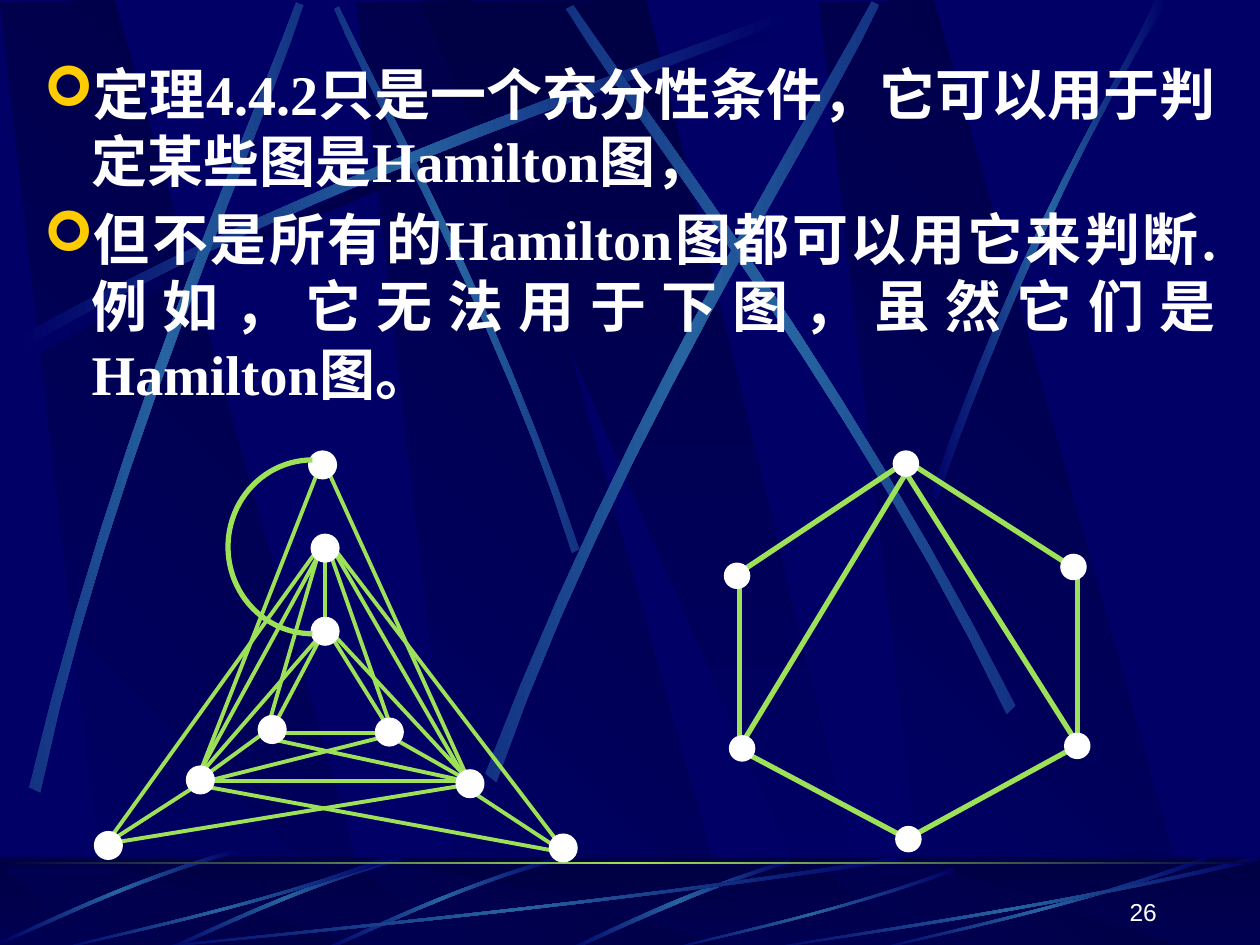
from lxml.etree import SubElement
from pptx import Presentation
from pptx.dml.color import RGBColor
from pptx.enum.shapes import MSO_CONNECTOR, MSO_SHAPE
from pptx.enum.text import MSO_ANCHOR, PP_ALIGN
from pptx.oxml import parse_xml
from pptx.oxml.ns import nsdecls, qn
from pptx.util import Inches, Pt

HUE = {"base": "000066", "dark": "000044", "glow": "2663A0", "dim": "133283",
       "lime": "9CE157", "white": "FFFFFF", "gold": "FFCC00"}
RGB = {name: RGBColor.from_string(code) for name, code in HUE.items()}

deck = Presentation()
deck.slide_width, deck.slide_height = Inches(10), Inches(7.5)
unit = deck.slide_width // 10
slide = deck.slides.add_slide(deck.slide_layouts[6])
slide.background.fill.solid()
slide.background.fill.fore_color.rgb = RGB["base"]
shapes = slide.shapes


def grid(*cells):
    return [round(cell * unit) for cell in cells]


def write(texts, box, size, font, align, bold=False, bullet=None, gap=0,
          anchor=MSO_ANCHOR.TOP):
    frame = shapes.add_textbox(*grid(*box)).text_frame
    frame.word_wrap = True
    frame.vertical_anchor = anchor
    for row, text in enumerate(texts):
        para = frame.add_paragraph() if row else frame.paragraphs[0]
        para.alignment = align
        if row:
            para.space_before = Pt(gap)
        if bullet:
            props = para._p.get_or_add_pPr()
            props.set("marL", str(Inches(0.38)))
            props.set("indent", str(-Inches(0.38)))
            tint = SubElement(props, qn("a:buClr"))
            SubElement(tint, qn("a:srgbClr")).set("val", HUE["gold"])
            SubElement(props, qn("a:buFont")).set("typeface", "Wingdings")
            SubElement(props, qn("a:buChar")).set("char", bullet)
        run = para.add_run()
        run.text = text
        run.font.size, run.font.name, run.font.bold = Pt(size), font, bold
        run.font.color.rgb = RGB["white"]


fade = ["base", "glow", "base"]
soft = ["dim", "glow", "dim"]
forms = []

for x in (0, 2.83, 6.5):
    band = [(x + 0.86, 7.5), (x + 3.02, 7.52), (x + 0.91, 0), (x, 0.02)]
    forms.append((band, ["base", "dark"], 315))
forms.append(([(3.33, 0.01), (6.58, 7.5), (6.94, 7.5), (5.13, 0)], ["dark", "base"], 90))

sweep = [(0.14, 2.67), (2.78, 1.25), (5.18, 0.51), (6.2, 0.1),
         (6.23, 0.16), (5.22, 0.61), (2.48, 1.43), (0.17, 2.77)]
forms += [
    ([(x + 0.06, y + 0.08) for x, y in sweep], ["base", "dark", "base"], 0),
    ([(4.6, 4.36), (3.91, 2.34), (3.02, 0.77), (2.69, 0.05),
      (2.65, 0.07), (2.95, 0.79), (3.98, 2.58), (4.54, 4.39)], soft, 0),
    (sweep, fade, 0),
    ([(0.23, 6.25), (0.93, 3.34), (1.97, 1.05), (2.35, 0.02),
      (2.41, 0.04), (2.07, 1.09), (0.86, 3.68), (0.32, 6.29)], soft, 0),
    ([(3.85, 6.14), (4.98, 3.2), (6.38, 1.02), (6.92, 0.01),
      (6.98, 0.04), (6.49, 1.08), (4.86, 3.55), (3.94, 6.21)], soft, 0),
    ([(8.06, 5.6), (6.7, 2.93), (5.16, 0.95), (4.55, 0.04),
      (4.49, 0.07), (5.07, 1.01), (6.85, 3.25), (7.99, 5.67)], soft, 0),
    ([(7.38, 3.94), (8.14, 1.73), (8.88, 0.66), (9.17, 0),
      (9.27, 0), (8.36, 1.45), (7.69, 3.22), (7.44, 3.97)], fade, 0),
]

floor = [(0, 6.8), (10, 7.55)]
forms.append((floor, ["dark", "base"], 90))
for x in (0, 2.83, 6.5):
    band = [(x + 0.86, 7.55), (x + 3.02, 7.55), (x + 0.91, 6.88), (x, 6.88)]
    forms.append((band, ["base", "dark"], 315))
forms.append(([(3.33, 6.88), (6.58, 7.55), (6.94, 7.55), (5.13, 6.88)], ["dark", "base"], 90))
forms.append((floor, ["dark"], 0))

forms.append(([(6.27, 6.82), (5.37, 7.09), (4.77, 7.42), (4.48, 7.54),
               (4.53, 7.55), (4.9, 7.38), (5.71, 7), (6.28, 6.85)], fade, 0))
blade = [(1.86, 0.04), (0.99, 0.29), (0.31, 0.64), (0, 0.77),
         (0.01, 0.79), (0.32, 0.67), (1.09, 0.27), (1.88, 0.07)]
for left, top in ((2.56, 6.76), (1.31, 6.76), (0, 6.7)):
    forms.append(([(left + x, top + y) for x, y in blade], fade, 0))
leaf = [(1, 0.04), (0.57, 0.57), (0.17, 0.85), (0, 1),
        (0, 0.99), (0.17, 0.81), (0.62, 0.51), (0.99, 0)]
for left, top, wide in ((1, 6.8, 6.17), (0.42, 6.8, 2.67), (5.27, 6.89, 2.31),
                        (6.92, 6.8, 2.67), (6, 6.8, 4)):
    tall = 7.55 - top
    forms.append(([(left + x * wide, top + y * tall) for x, y in leaf], fade, 0))
forms.append(([(0, 6.84), (10, 6.86)], ["dark", "lime", "dark"], 0))

for points, tones, angle in forms:
    if len(points) == 2:
        (x, y), (right, low) = points
        form = shapes.add_shape(MSO_SHAPE.RECTANGLE, *grid(x, y, right - x, low - y))
    else:
        trace = points
        if len(points) == 8:
            trace = []
            for curve in (points[:4], points[4:]):
                for step in range(13):
                    t = step / 12
                    pull = ((1 - t) ** 3, 3 * t * (1 - t) ** 2, 3 * t * t * (1 - t), t ** 3)
                    trace.append([sum(k * p[axis] for k, p in zip(pull, curve))
                                  for axis in (0, 1)])
        spots = [grid(*spot) for spot in trace]
        pen = shapes.build_freeform(*spots[0], scale=1.0)
        pen.add_line_segments(spots[1:], close=True)
        form = pen.convert_to_shape()
    form.shadow.inherit = False
    form.line.fill.background()
    if len(tones) == 1:
        form.fill.solid()
        form.fill.fore_color.rgb = RGB[tones[0]]
        shade = form.fill._xPr.find(qn("a:solidFill"))[0]
        SubElement(shade, qn("a:alpha")).set("val", "50000")
        continue
    stops = "".join(
        f'<a:gs pos="{100000 * i // (len(tones) - 1)}"><a:srgbClr val="{HUE[tone]}"/></a:gs>'
        for i, tone in enumerate(tones))
    form.fill.background()
    blank = form._element.spPr.find(qn("a:noFill"))
    blank.getparent().replace(blank, parse_xml(
        f'<a:gradFill {nsdecls("a")} rotWithShape="1"><a:gsLst>{stops}</a:gsLst>'
        f'<a:lin ang="{angle * 60000}" scaled="1"/></a:gradFill>'))

write(["定理4.4.2只是一个充分性条件，它可以用于判定某些图是Hamilton图，",
       "但不是所有的Hamilton图都可以用它来判断.例如，它无法用于下图，虽然它们是Hamilton图。"],
      (0.25, 0.42, 9.5, 6.42), 32, "Times New Roman", PP_ALIGN.JUSTIFY,
      bold=True, bullet="➢", gap=6.4)

nest = [
    (2.21, 5.82, 3.01, 5.82), (2.58, 4.42, 2.58, 4.95), (1.64, 6.2, 3.75, 6.2),
    (2.55, 5.05, 2.17, 5.77), (2.63, 5.05, 3.11, 5.82), (2.52, 4.42, 2.12, 5.79),
    (2.52, 3.75, 1.56, 6.2), (2.6, 3.73, 3.7, 6.15), (2.63, 4.42, 3.11, 5.79),
    (2.66, 4.39, 3.72, 6.23), (2.52, 4.42, 1.59, 6.12), (2.68, 4.39, 4.41, 6.66),
    (2.5, 4.39, 0.87, 6.66), (3.71, 6.26, 4.44, 6.74), (1.56, 6.23, 4.44, 6.76),
    (3.14, 5.87, 3.67, 6.17), (2.09, 5.82, 1.61, 6.17), (1.52, 6.26, 0.9, 6.66),
    (2.17, 5.87, 3.7, 6.2), (0.95, 6.68, 3.7, 6.23), (2.66, 5.05, 3.7, 6.17),
    (1.64, 6.2, 3.08, 5.84), (1.61, 6.12, 2.58, 5),
]
nodes = [(0.75, 6.6), (1.48, 6.08), (2.05, 5.68), (2.45, 3.58), (2.47, 4.24),
         (2.47, 4.9), (2.98, 5.7), (3.62, 6.11), (4.36, 6.62)]
hexa = [
    (5.87, 4.54, 5.87, 5.95), (7.15, 3.69, 5.89, 4.53), (8.53, 5.93, 7.25, 6.63),
    (7.2, 3.66, 8.51, 4.5), (5.87, 5.95, 7.15, 6.63), (7.17, 3.72, 8.53, 5.87),
    (7.23, 3.69, 5.89, 5.9), (8.55, 4.47, 8.55, 5.88),
]
tips = [(7.11, 6.56), (8.45, 5.82), (8.42, 4.4), (7.09, 3.58), (5.75, 4.47), (5.79, 5.84)]

for edges, dots, weight, size in ((nest, nodes, 2.25, 0.22), (hexa, tips, 3, 0.2)):
    for ends in edges:
        edge = shapes.add_connector(MSO_CONNECTOR.STRAIGHT, *grid(*ends))
        edge.line.color.rgb = RGB["lime"]
        edge.line.width = Pt(weight)
        SubElement(edge._element.spPr, qn("a:effectLst"))
    for x, y in dots:
        dot = shapes.add_shape(MSO_SHAPE.OVAL, *grid(x, y, size, size))
        dot.shadow.inherit = False
        dot.fill.solid()
        dot.fill.fore_color.rgb = dot.line.color.rgb = RGB["white"]
        dot.line.width = Pt(0.75)

arc = shapes.add_shape(MSO_SHAPE.ARC, *grid(1.81, 3.65, 1.34, 1.38))
arc.adjustments[0], arc.adjustments[1] = 54, 162
arc.shadow.inherit = False
arc.fill.background()
arc.line.color.rgb = RGB["lime"]
arc.line.width = Pt(3)

write(["26"], (7.2, 6.9, 2.08, 0.5), 14, "Arial", PP_ALIGN.RIGHT, anchor=MSO_ANCHOR.BOTTOM)

deck.save("out.pptx")
